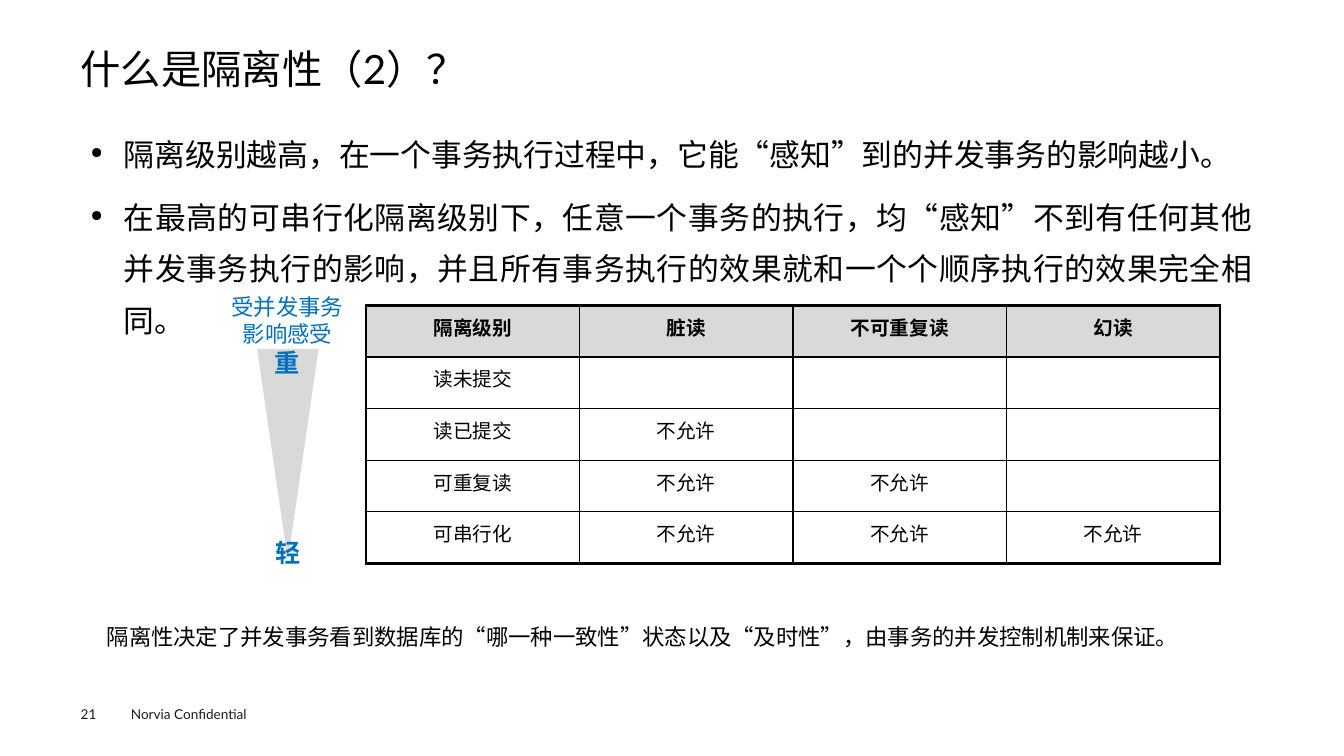
"""Build the slide on transaction isolation levels."""
from lxml import etree
from pptx import Presentation
from pptx.dml.color import RGBColor
from pptx.enum.shapes import MSO_SHAPE
from pptx.enum.text import MSO_ANCHOR, PP_ALIGN
from pptx.oxml.ns import qn
from pptx.util import Inches, Pt

TRIANGLE = MSO_SHAPE.ISOSCELES_TRIANGLE
MIDDLE = MSO_ANCHOR.MIDDLE
LEFT, CENTER, JUSTIFY = PP_ALIGN.LEFT, PP_ALIGN.CENTER, PP_ALIGN.JUSTIFY
BLACK, BLUE, GRAY, INK = "000000", "0070C0", "D9D9D9", "1D1D1B"


def color(code):
    return RGBColor.from_string(code)


class Deck:
    """Hold the style and the current slide."""

    font = "Lato"

    def __init__(self):
        self.file = Presentation()
        self.file.slide_width = Inches(13.33)
        self.file.slide_height = Inches(7.5)
        self.slide = self.file.slides.add_slide(self.file.slide_layouts[6])

    def style(self, para, size, code=BLACK, bold=False, align=LEFT):
        para.alignment = align
        font = para.font
        font.name, font.size, font.bold = self.font, Pt(size), bold
        font.color.rgb = color(code)

    def text(self, at, lines, code=BLACK, align=LEFT, space=1.0, pad=(0.1, 0.05), wrap=True):
        """Add a text box from (text, size, bold) lines."""
        box = self.slide.shapes.add_textbox(*map(Inches, at))
        frame = box.text_frame
        frame.word_wrap = wrap
        frame.margin_left = frame.margin_right = Inches(pad[0])
        frame.margin_top = frame.margin_bottom = Inches(pad[1])
        for i, (words, size, bold) in enumerate(lines):
            para = frame.add_paragraph() if i else frame.paragraphs[0]
            para.text = words
            para.line_spacing = space
            self.style(para, size, code, bold, align)
        return frame

    def bullets(self, at, items, size):
        lines = [(item, size, False) for item in items]
        frame = self.text(at, lines, align=JUSTIFY, space=1.4)
        for para in frame.paragraphs:
            para.space_before = Pt(7.9)
            props = para._p.get_or_add_pPr()
            props.set("marL", str(Inches(0.33)))
            props.set("indent", str(-Inches(0.33)))
            mark = etree.Element(qn("a:buSzPct"), val="50000")
            char = etree.Element(qn("a:buChar"), char="●")
            fonts = props.find(qn("a:defRPr"))
            fonts.addprevious(mark)
            fonts.addprevious(char)

    def shape(self, kind, at, fill, turn=0):
        item = self.slide.shapes.add_shape(kind, *map(Inches, at))
        item.shadow.inherit = False
        item.fill.solid()
        item.fill.fore_color.rgb = color(fill)
        item.line.fill.background()
        item.rotation = turn

    def border(self, cell, side, width):
        props = cell._tc.get_or_add_tcPr()
        line = etree.SubElement(props, qn("a:ln" + side), w=str(Pt(width)))
        fill = etree.SubElement(line, qn("a:solidFill"))
        etree.SubElement(fill, qn("a:srgbClr"), val=BLACK)

    def table(self, at, rows, size):
        """Add a grid with a shaded head and a thick outer frame."""
        high, wide = len(rows), len(rows[0])
        grid = self.slide.shapes.add_table(high, wide, *map(Inches, at)).table
        grid.first_row = grid.horz_banding = False
        for r, row in enumerate(rows):
            for c, words in enumerate(row):
                cell = grid.cell(r, c)
                edges = {"L": c == 0, "R": c == wide - 1, "T": r == 0, "B": r == high - 1}
                for side, outer in edges.items():
                    self.border(cell, side, 2.25 if outer else 1)
                if r == 0:
                    cell.fill.solid()
                    cell.fill.fore_color.rgb = color(GRAY)
                else:
                    cell.fill.background()
                cell.vertical_anchor = MIDDLE
                cell.margin_left = cell.margin_right = Inches(0.07)
                cell.margin_top = cell.margin_bottom = 0
                cell.text = words
                para = cell.text_frame.paragraphs[0]
                para.line_spacing = Pt(14)
                self.style(para, size, bold=r == 0, align=CENTER)


def main():
    deck = Deck()
    deck.text((1.2, 6.95, 1.6, 0.27), [("Norvia Confidential", 9.7, False)], INK)
    deck.text((0.8, 7, 0.55, 0.16), [("21", 9.7, False)], INK, pad=(0, 0))
    deck.text((0.8, 0.49, 11.73, 0.53), [("什么是隔离性（2）？", 28.8, False)],
              space=0.9, pad=(0, 0))
    deck.bullets((0.8, 1.15, 11.73, 5.34), [
        "隔离级别越高，在一个事务执行过程中，它能“感知”到的并发事务的影响越小。",
        "在最高的可串行化隔离级别下，任意一个事务的执行，均“感知”不到有任何其他并发事务执行的影响，"
        "并且所有事务执行的效果就和一个个顺序执行的效果完全相同。",
    ], 22)
    no = "不允许"
    deck.table((3.63, 3.03, 8.47, 2.56), [
        ("隔离级别", "脏读", "不可重复读", "幻读"),
        ("读未提交", "", "", ""),
        ("读已提交", no, "", ""),
        ("可重复读", no, no, ""),
        ("可串行化", no, no, no),
    ], 14)
    deck.shape(TRIANGLE, (2.55, 3.46, 0.61, 2.1), GRAY, 180)
    deck.text((2.19, 2.86, 1.32, 0.94), [
        ("受并发事务", 16, False), ("影响感受", 16, False), ("重", 18, True),
    ], BLUE, CENTER)
    deck.text((2.63, 5.28, 0.45, 0.4), [("轻", 18, True)], BLUE, wrap=False)
    deck.text((0.96, 5.87, 11.88, 0.56), [
        ("隔离性决定了并发事务看到数据库的“哪一种一致性”状态以及“及时性”，由事务的并发控制机制来保证。", 16, False),
    ], space=2.0)
    deck.file.save("out.pptx")


if __name__ == "__main__":
    main()
